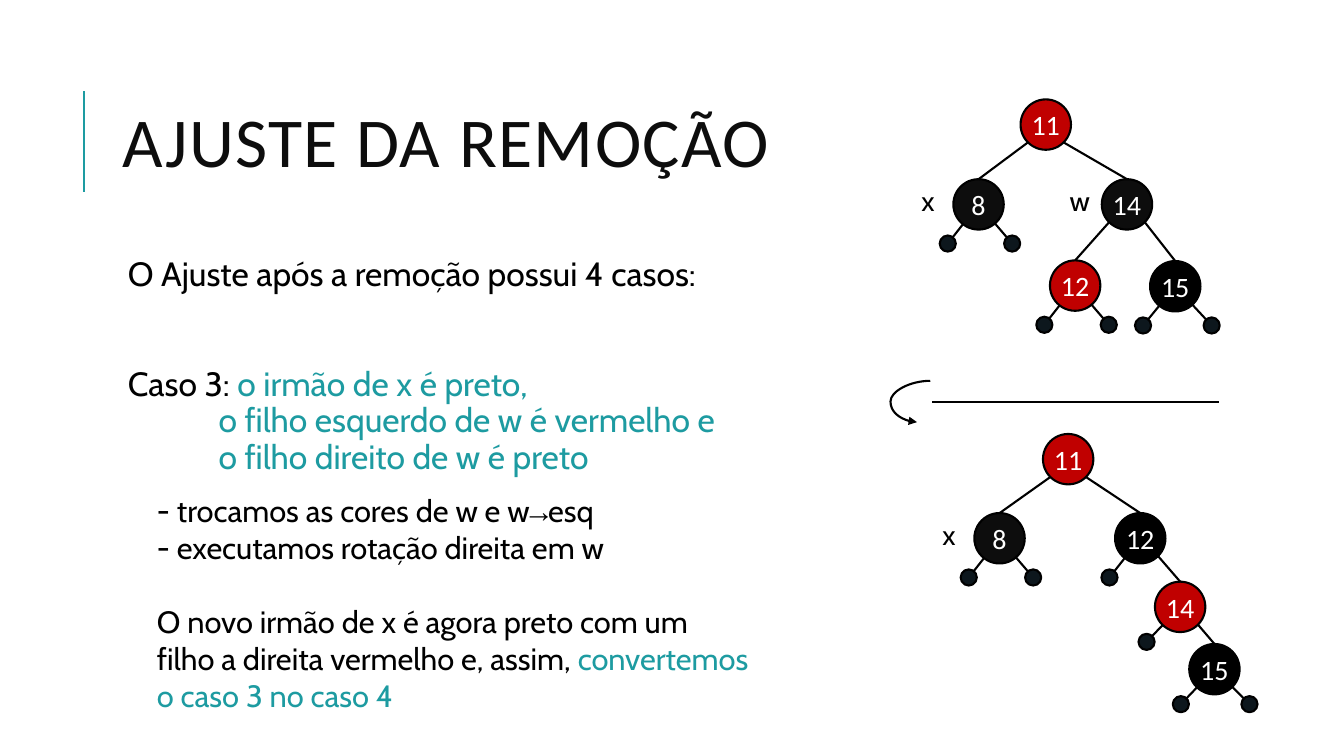
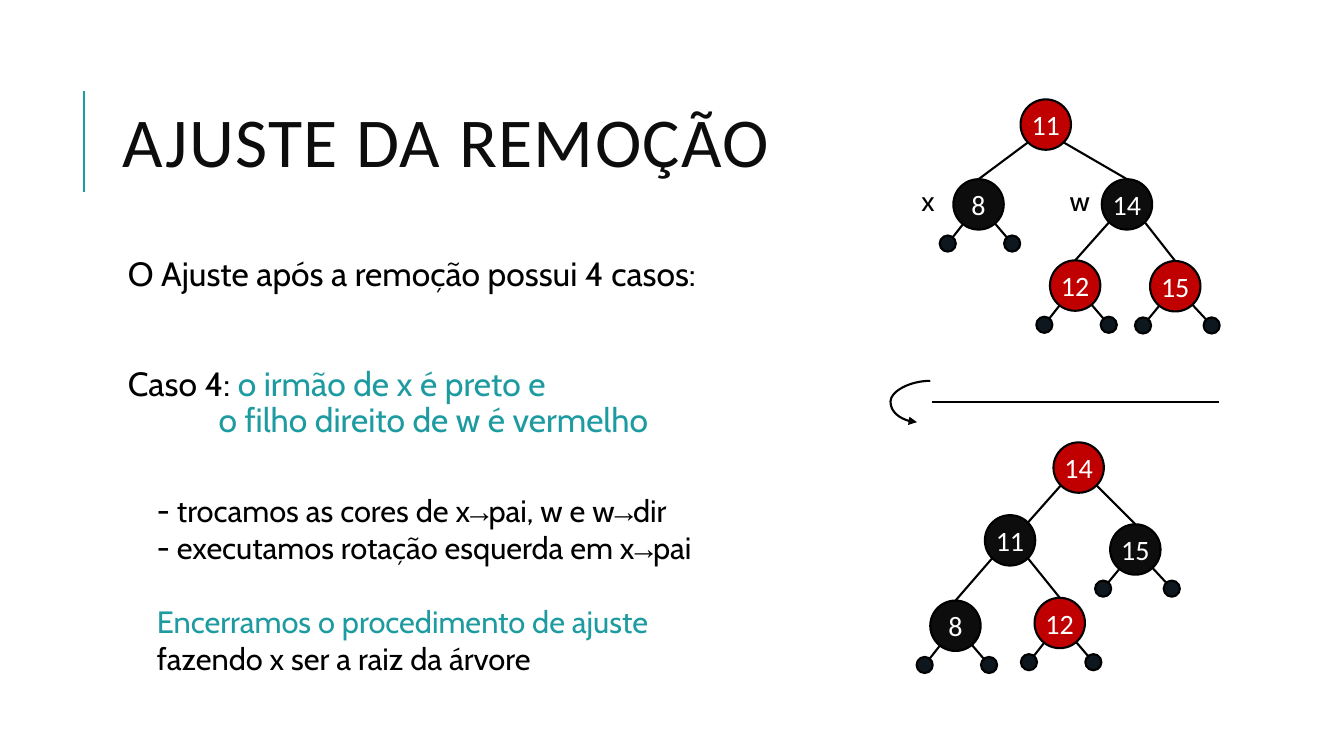
import math
from dataclasses import dataclass
from typing import Optional

import pptx
import pptx.dml.color
import pptx.enum.dml
import pptx.enum.shapes
import pptx.enum.text
import pptx.oxml
import pptx.oxml.ns
import pptx.util

Pt = pptx.util.Pt
RGBColor = pptx.dml.color.RGBColor
MSO_SHAPE = pptx.enum.shapes.MSO_SHAPE
MSO_CONNECTOR = pptx.enum.shapes.MSO_CONNECTOR
PP_ALIGN = pptx.enum.text.PP_ALIGN
MSO_ANCHOR = pptx.enum.text.MSO_ANCHOR
qn = pptx.oxml.ns.qn

TEAL = RGBColor(0x1D, 0x9B, 0xA1)
BLACK = RGBColor(0, 0, 0)
INK = RGBColor(0x0D, 0x0D, 0x0D)
LEAF_FILL = RGBColor(0x0D, 0x17, 0x1D)
RED = RGBColor(0xC0, 0, 0)
WHITE = RGBColor(0xFF, 0xFF, 0xFF)

HEADING_FONT = "Calibri"
BODY_FONT = "Cabin"
ARROW_FONT = "Courier New"
NODE_RADIUS = 18
LEAF_RADIUS = 5.75

NORMAL_LEAVES = ((-22, 28), (24, 28))
WIDE_LEAVES = ((-23, 28), (26, 28))
FLAT_LEAVES = ((-24, 25), (25, 25))

TITLE_BOX = (80.5, 46, 765, 118)
CASE_BOX = (80.5, 180, 480, 165)
ACTIONS_BOX = (105, 348, 480, 167)
BEFORE_ORIGIN = (650, 70)
DIVIDER_ORIGIN = (637, 272)
AFTER_ORIGIN = (650, 310)


@dataclass
class Node:
    key: str
    fill: RGBColor
    x: float
    y: float
    left: Optional["Node"] = None
    right: Optional["Node"] = None
    pointer: str = ""
    leaves: tuple = NORMAL_LEAVES
    joins_side: bool = False


def style_run(run, size, color, font=BODY_FONT):
    run.font.size = Pt(size)
    run.font.name = font
    run.font.color.rgb = color


def write_runs(paragraph, segments, size):
    for text, color in segments:
        for line_number, line in enumerate(text.split("\n")):
            if line_number:
                paragraph.add_line_break()
            for piece_number, piece in enumerate(line.split("→")):
                fonts = [("→", ARROW_FONT)] if piece_number else []
                for words, font in fonts + [(piece, BODY_FONT)]:
                    if words:
                        run = paragraph.add_run()
                        run.text = words
                        style_run(run, size, color, font)


def set_indent(paragraph, left, first, bullet=None):
    properties = paragraph._p.get_or_add_pPr()
    properties.set("marL", str(Pt(left)))
    properties.set("indent", str(Pt(first)))
    if bullet:
        pptx.oxml.ns.qn("a:buChar")
        for tag, name, value in (("a:buFont", "typeface", BODY_FONT), ("a:buChar", "char", bullet)):
            properties.append(properties.makeelement(qn(tag), {name: value}))


def add_text_frame(slide, box, inset=None):
    frame = slide.shapes.add_textbox(*map(Pt, box)).text_frame
    frame.word_wrap = True
    if inset is not None:
        frame.margin_left = frame.margin_right = Pt(inset)
        frame.margin_top = frame.margin_bottom = Pt(inset)
    return frame


def add_line(slide, start, end, color=BLACK, width=1.5, kind=MSO_CONNECTOR.STRAIGHT):
    line = slide.shapes.add_connector(kind, *map(Pt, (*start, *end)))
    line.line.color.rgb = color
    line.line.width = Pt(width)
    properties = line.element.spPr
    properties.append(properties.makeelement(qn("a:effectLst"), {}))
    return line


def add_circle(slide, center, radius, fill):
    x, y = center
    circle = slide.shapes.add_shape(
        MSO_SHAPE.OVAL, Pt(x - radius), Pt(y - radius), Pt(2 * radius), Pt(2 * radius))
    circle.shadow.inherit = False
    circle.fill.solid()
    circle.fill.fore_color.rgb = fill
    circle.line.color.rgb = BLACK
    circle.line.width = Pt(1.5)
    return circle


def add_leaf(slide, parent, offset):
    dx, dy = offset
    length = math.hypot(dx, dy)

    def along(distance):
        return parent[0] + dx * distance / length, parent[1] + dy * distance / length

    add_line(slide, along(NODE_RADIUS), along(length - LEAF_RADIUS))
    add_circle(slide, along(length), LEAF_RADIUS, LEAF_FILL)


def add_pointer(slide, center, name):
    frame = add_text_frame(slide, (center[0] - 48, center[1] - 18.5, 30, 32))
    frame.text = name
    style_run(frame.paragraphs[0].runs[0], 20, BLACK)


def add_tree(slide, origin, node):
    center = (origin[0] + node.x, origin[1] + node.y)
    circle = add_circle(slide, center, NODE_RADIUS, node.fill)
    frame = circle.text_frame
    frame.margin_left = frame.margin_right = frame.margin_top = frame.margin_bottom = 0
    frame.vertical_anchor = MSO_ANCHOR.MIDDLE
    frame.text = node.key
    frame.paragraphs[0].alignment = PP_ALIGN.CENTER
    style_run(frame.paragraphs[0].runs[0], 20, WHITE, HEADING_FONT)
    if node.pointer:
        add_pointer(slide, center, node.pointer)

    diagonal = NODE_RADIUS * math.sqrt(0.5)
    for side, child, leaf in zip((-1, 1), (node.left, node.right), node.leaves):
        if child is None:
            add_leaf(slide, center, leaf)
            continue
        child_circle = add_tree(slide, origin, child)
        start = (center[0] + side * diagonal, center[1] + diagonal)
        x, y = origin[0] + child.x, origin[1] + child.y
        if child.joins_side:
            add_line(slide, start, (x - side * diagonal, y - diagonal))
        else:
            edge = add_line(slide, start, (x, y - NODE_RADIUS))
            edge.end_connect(child_circle, 0)
    return circle


def add_divider(slide, origin):
    x, y = origin
    add_line(slide, (x + 29, y + 15), (x + 234, y + 15), width=1.25)
    turn = add_line(slide, (x + 27.5, y), (x + 18, y + 29.5), kind=MSO_CONNECTOR.CURVE)
    guides = turn.element.spPr.find(qn("a:prstGeom")).get_or_add_avLst()
    guides.append(guides.makeelement(qn("a:gd"), {"name": "adj1", "fmla": "val 299300"}))
    stroke = turn.line._get_or_add_ln()
    stroke.append(stroke.makeelement(qn("a:tailEnd"), {"type": "triangle"}))


def add_title(slide, box):
    title = slide.shapes.title
    title.left, title.top, title.width, title.height = map(Pt, box)
    frame = title.text_frame
    frame.text = "AJUSTE DA REMOÇÃO"
    frame.auto_size = pptx.enum.text.MSO_AUTO_SIZE.NONE
    frame.vertical_anchor = MSO_ANCHOR.MIDDLE
    heading = frame.paragraphs[0]
    heading.alignment = PP_ALIGN.LEFT
    heading.line_spacing = 0.8
    style_run(heading.runs[0], 50, INK, HEADING_FONT)
    heading.runs[0].font._element.set("spc", "100")


def add_case(slide, box, name, condition):
    frame = add_text_frame(slide, box, 3.6)
    intro, case = frame.paragraphs[0], frame.add_paragraph()
    set_indent(intro, 7.2, 0)
    set_indent(case, 72, -64.8)
    for paragraph in (intro, case):
        paragraph.line_spacing = 0.9
        paragraph.space_after = Pt(2)
    case.space_before = Pt(51)
    write_runs(intro, [("O Ajuste após a remoção possui 4 casos:", BLACK)], 24)
    write_runs(case, [(name + ": ", BLACK), (condition, TEAL)], 24)


def add_actions(slide, box, steps, outcome):
    frame = add_text_frame(slide, box)
    for number, step in enumerate(steps):
        paragraph = frame.add_paragraph() if number else frame.paragraphs[0]
        set_indent(paragraph, 14.3, -14.3, "-")
        write_runs(paragraph, [(step, BLACK)], 22)
    conclusion = frame.add_paragraph()
    conclusion.space_before = Pt(26.5)
    write_runs(conclusion, outcome, 22)


def add_case_slide(deck, case, steps, outcome, before, after):
    slide = deck.slides.add_slide(deck.slide_layouts[5])
    add_title(slide, TITLE_BOX)
    add_case(slide, CASE_BOX, *case)
    add_actions(slide, ACTIONS_BOX, steps, outcome)
    add_tree(slide, BEFORE_ORIGIN, before)
    add_divider(slide, DIVIDER_ORIGIN)
    add_tree(slide, AFTER_ORIGIN, after)
    return slide


def tree_before(right_nephew_fill):
    return Node(
        "11", RED, 97, 19,
        Node("8", INK, 49, 76, pointer="x"),
        Node("14", INK, 155, 76,
             Node("12", RED, 118, 134),
             Node("15", right_nephew_fill, 189.5, 134.5, leaves=WIDE_LEAVES),
             pointer="w"))


def main():
    deck = pptx.Presentation()
    deck.slide_width, deck.slide_height = Pt(960), Pt(540)

    rotated_right = Node(
        "11", RED, 113, 18,
        Node("8", INK, 64, 74.5, pointer="x"),
        Node("12", BLACK, 164.5, 74.5, right=Node(
            "14", RED, 193, 123.5, leaves=FLAT_LEAVES, right=Node(
                "15", BLACK, 217.5, 168, leaves=FLAT_LEAVES))))
    case_three = add_case_slide(
        deck,
        ("Caso 3", "o irmão de x é preto,\no filho esquerdo de w é vermelho e\n"
                   "o filho direito de w é preto"),
        ("trocamos as cores de w e w→esq", "executamos rotação direita em w"),
        [("O novo irmão de x é agora preto com um\nfilho a direita vermelho e, assim, ", BLACK),
         ("convertemos\no caso 3 no caso 4", TEAL)],
        tree_before(BLACK), rotated_right)

    rotated_left = Node(
        "14", RED, 120.5, 24,
        Node("11", INK, 71.5, 76,
             Node("8", INK, 32.5, 137),
             Node("12", RED, 107, 135),
             joins_side=True),
        Node("15", INK, 161, 82.5, leaves=WIDE_LEAVES))
    add_case_slide(
        deck,
        ("Caso 4", "o irmão de x é preto e\no filho direito de w é vermelho"),
        ("trocamos as cores de x→pai, w e w→dir", "executamos rotação esquerda em x→pai"),
        [("Encerramos o procedimento de ajuste\n", TEAL),
         ("fazendo x ser a raiz da árvore", BLACK)],
        tree_before(RED), rotated_left)

    title_bar = add_line(case_three, (60, 137), (60, 65), TEAL)
    deck.slide_layouts[5].shapes.element.append(title_bar.element)
    deck.save("out.pptx")


if __name__ == "__main__":
    main()
